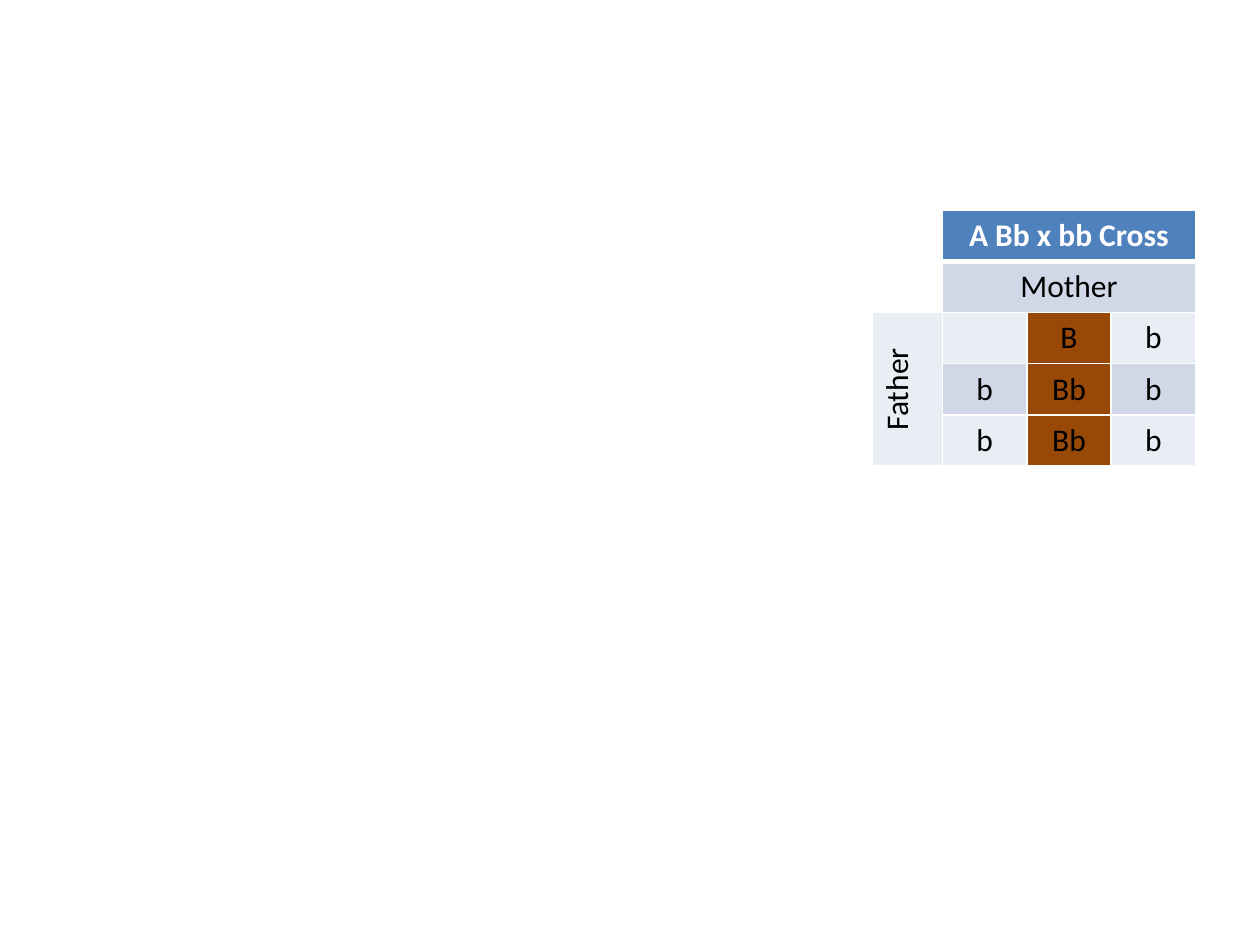
from lxml import etree
from pptx import Presentation
from pptx import util as u
from pptx.dml.color import RGBColor
from pptx.enum import text
from pptx.oxml.ns import qn

WHITE = RGBColor(0xFF, 0xFF, 0xFF)
BLACK = RGBColor(0, 0, 0)
BLUE = RGBColor(0x4F, 0x81, 0xBD)
BAND_DARK = RGBColor(0xD0, 0xD8, 0xE8)
BAND_LIGHT = RGBColor(0xE9, 0xED, 0xF4)
BROWN = RGBColor(0x98, 0x48, 0x07)

ROWS = [
    ["", "A Bb x bb Cross", "", ""],
    ["", "Mother", "", ""],
    ["Father", "", "B", "b"],
    ["", "b", "Bb", "b"],
    ["", "b", "Bb", "b"],
]
MERGES = [((0, 1), (0, 3)), ((1, 1), (1, 3)), ((2, 0), (4, 0))]
ROW_FILLS = [BLUE, BAND_DARK, BAND_LIGHT, BAND_DARK, BAND_LIGHT]
HEADER_ROWS = 2
DOMINANT_COLUMN = 2
COLUMN_WIDTHS = [0.56, 0.67, 0.67, 0.67]
ROW_HEIGHT = 0.405
LEFT, TOP = 6.92, 1.67


def add_border(cell, side, points):
    line = etree.SubElement(cell._tc.get_or_add_tcPr(), qn(f"a:{side}"), w=str(u.Pt(points)))
    fill = etree.SubElement(line, qn("a:solidFill"))
    etree.SubElement(fill, qn("a:srgbClr"), val=str(WHITE))


def fill_cell(cell, row, column):
    corner = row < HEADER_ROWS and column == 0
    if corner:
        cell.fill.background()
        return
    for side in ("lnL", "lnR", "lnT", "lnB"):
        heavy = (row, side) in ((0, "lnB"), (1, "lnT"))
        add_border(cell, side, 3 if heavy else 1)
    brown = row >= HEADER_ROWS and column == DOMINANT_COLUMN
    cell.fill.solid()
    cell.fill.fore_color.rgb = BROWN if brown else ROW_FILLS[2 if column == 0 else row]


def write_cell(cell, words, title):
    para = cell.text_frame.paragraphs[0]
    para.alignment = text.PP_ALIGN.CENTER
    para.font.size = u.Pt(18)
    if words:
        span = para.add_run()
        span.text = words
        span.font.name = "Calibri"
        span.font.size = u.Pt(18)
        span.font.bold = title
        span.font.color.rgb = WHITE if title else BLACK


deck = Presentation()
deck.slide_width, deck.slide_height = u.Inches(10), u.Inches(7.5)
page = deck.slides.add_slide(deck.slide_layouts[6])
table = page.shapes.add_table(
    len(ROWS), len(COLUMN_WIDTHS), u.Inches(LEFT), u.Inches(TOP),
    u.Inches(sum(COLUMN_WIDTHS)), u.Inches(ROW_HEIGHT * len(ROWS)),
).table

for column, width in zip(table.columns, COLUMN_WIDTHS):
    column.width = u.Inches(width)
for first, last in MERGES:
    table.cell(*first).merge(table.cell(*last))
for row, entries in enumerate(ROWS):
    for column, words in enumerate(entries):
        cell = table.cell(row, column)
        fill_cell(cell, row, column)
        write_cell(cell, words, row == 0)
table.cell(HEADER_ROWS, 0)._tc.get_or_add_tcPr().set("vert", "vert270")

deck.save("out.pptx")
